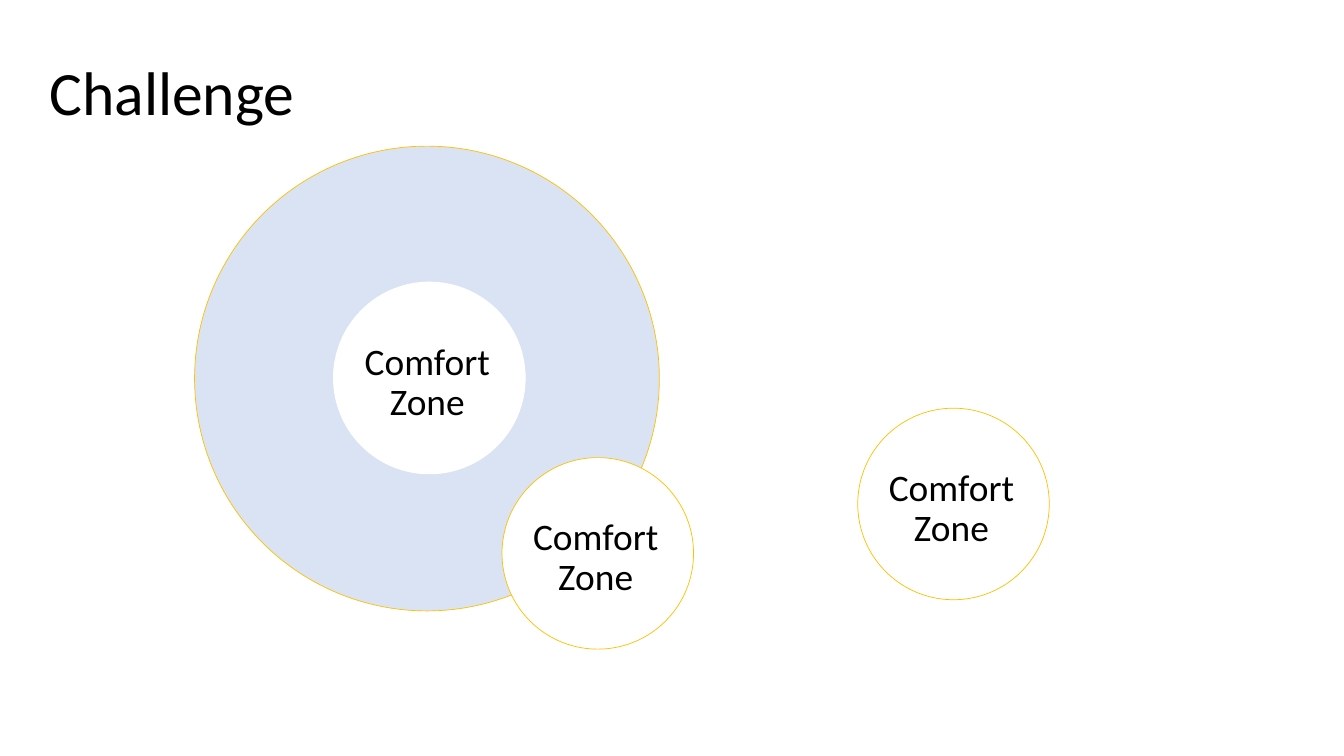
"""Build the Challenge slide: a large circle and three comfort zones."""
from pptx import Presentation
from pptx import util as u
from pptx.dml.color import RGBColor
from pptx.enum import shapes, text

TITLE = "Challenge"
ZONES = [
    ("Comfort Zone", 238.3, 201.6, "white", 0.75),
    ("Comfort Zone", 358.6, 326.9, "gold", 0.5),
    ("Comfort Zone", 612.7, 291.6, "gold", 0.5),
]
THEME = {
    "font": "Calibri",
    "title_size": 44,
    "label_size": 26.7,
    "black": RGBColor(0x00, 0x00, 0x00),
    "white": RGBColor(0xFF, 0xFF, 0xFF),
    "gold": RGBColor(0xFF, 0xC0, 0x00),
    "pale_blue": RGBColor(0xDA, 0xE3, 0xF3),
}
SLIDE_SIZE = (960, 540)
TITLE_BOX = (20.9, 33.1, 918, 70.6)
TITLE_INSETS = (14.4, 11.5)
CHALLENGE_CIRCLE = (139, 104.4, 332)
ZONE_DIAMETER = 136.8
LABEL_SIZE = (155.5, 77.8)
LABEL_OFFSET = (-10.8, 33.8)
LABEL_INSETS = (12.2, 9.4)
LABEL_SPACE_AFTER = 15


def add_circle(parent, left, top, diameter, fill, line, line_width):
    circle = parent.add_shape(
        shapes.MSO_SHAPE.OVAL, u.Pt(left), u.Pt(top), u.Pt(diameter), u.Pt(diameter)
    )
    circle.shadow.inherit = False
    circle.fill.solid()
    circle.fill.fore_color.rgb = THEME[fill]
    circle.line.color.rgb = THEME[line]
    circle.line.width = u.Pt(line_width)


def add_text(parent, words, bounds, insets, size, anchor, align, space_after=0):
    box = parent.add_textbox(*(u.Pt(length) for length in bounds))
    frame = box.text_frame
    frame.word_wrap = True
    frame.vertical_anchor = anchor
    frame.margin_left = frame.margin_right = u.Pt(insets[0])
    frame.margin_top = frame.margin_bottom = u.Pt(insets[1])
    para = frame.paragraphs[0]
    para.alignment = align
    para.line_spacing = 0.9
    para.space_after = u.Pt(space_after)
    span = para.add_run()
    span.text = words
    span.font.name = THEME["font"]
    span.font.size = u.Pt(size)
    span.font.color.rgb = THEME["black"]


def add_zone(page, words, left, top, line, line_width):
    zone = page.shapes.add_group_shape().shapes
    add_circle(zone, left, top, ZONE_DIAMETER, "white", line, line_width)
    bounds = (left + LABEL_OFFSET[0], top + LABEL_OFFSET[1], *LABEL_SIZE)
    add_text(zone, words, bounds, LABEL_INSETS, THEME["label_size"],
             text.MSO_ANCHOR.TOP, text.PP_ALIGN.CENTER, LABEL_SPACE_AFTER)


def main():
    deck = Presentation()
    deck.slide_width, deck.slide_height = (u.Pt(side) for side in SLIDE_SIZE)
    page = deck.slides.add_slide(deck.slide_layouts[6])
    add_circle(page.shapes, *CHALLENGE_CIRCLE, "pale_blue", "gold", 0.5)
    add_text(page.shapes, TITLE, TITLE_BOX, TITLE_INSETS, THEME["title_size"],
             text.MSO_ANCHOR.MIDDLE, text.PP_ALIGN.LEFT)
    for zone in ZONES:
        add_zone(page, *zone)
    deck.save("out.pptx")


if __name__ == "__main__":
    main()
